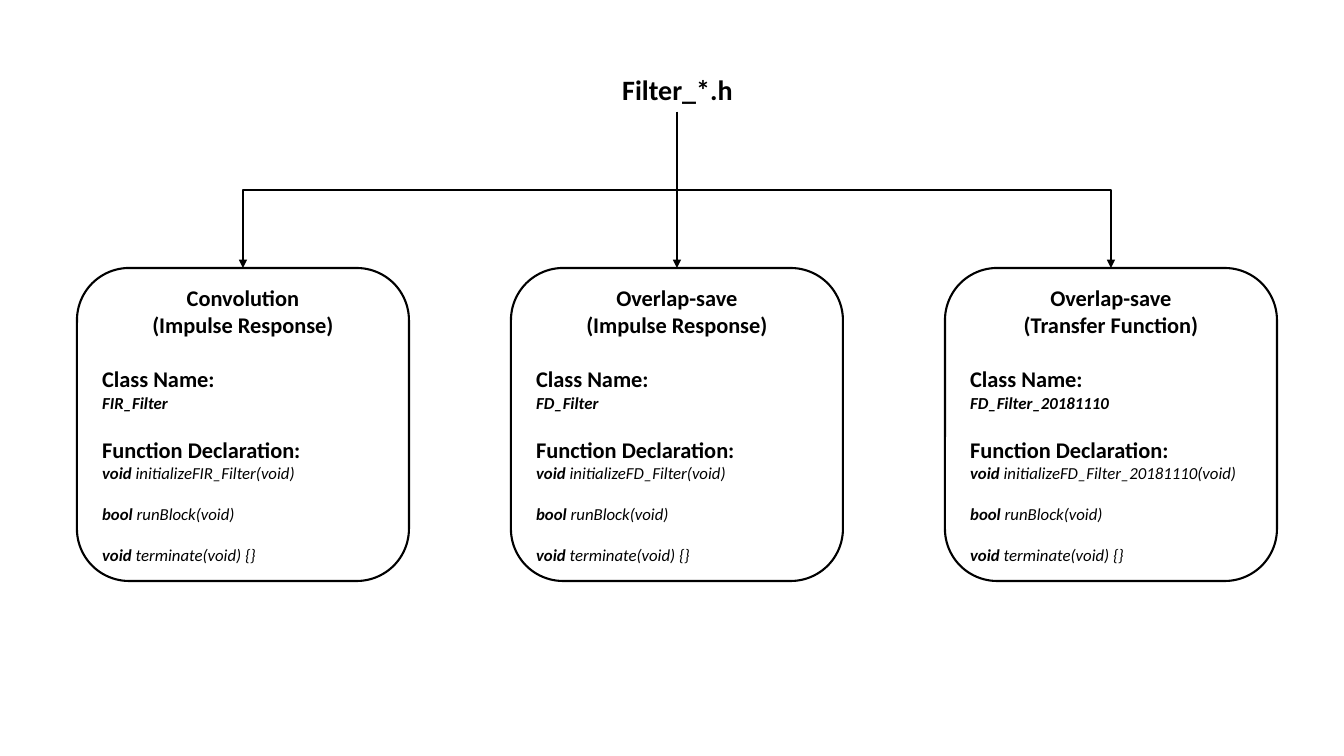
from lxml.etree import SubElement
from pptx import Presentation
from pptx.dml.color import RGBColor
from pptx.enum.shapes import MSO_CONNECTOR, MSO_SHAPE
from pptx.enum.text import MSO_ANCHOR, PP_ALIGN
from pptx.oxml.ns import qn
from pptx.util import Pt

SCALE = 914400 / 100.8
COLORS = {"ink": "000000", "paper": "FFFFFF"}
INK = RGBColor.from_string(COLORS["ink"])
PAPER = RGBColor.from_string(COLORS["paper"])


def px(*values):
    return [round(value * SCALE) for value in values]


def add_run(paragraph, text, size, bold=True, italic=False):
    run = paragraph.add_run()
    run.text = text
    run.font.name = "Calibri"
    run.font.size = Pt(size)
    run.font.bold = bold
    run.font.italic = italic
    run.font.color.rgb = INK


presentation = Presentation()
presentation.slide_width, presentation.slide_height = px(1344, 756)
slide = presentation.slides.add_slide(presentation.slide_layouts[6])

BOX_TOP, BOX_WIDTH, BOX_HEIGHT = 268, 332, 313
CENTER, STEP = 677, 434
HEADER_BOTTOM = 112
DROP = BOX_TOP - HEADER_BOTTOM
MIDDLE = HEADER_BOTTOM + DROP // 2

header = slide.shapes.add_textbox(*px(597, 68, 161, 44))
header.text_frame.word_wrap = True
header_paragraph = header.text_frame.paragraphs[0]
header_paragraph.alignment = PP_ALIGN.CENTER
add_run(header_paragraph, "Filter_*.h", 20)

filters = [
    ("Convolution", "(Impulse Response)", "FIR_Filter"),
    ("Overlap-save", "(Impulse Response)", "FD_Filter"),
    ("Overlap-save", "(Transfer Function)", "FD_Filter_20181110"),
]
for index, (method, domain, class_name) in enumerate(filters):
    center = CENTER + (index - 1) * STEP
    box = slide.shapes.add_shape(
        MSO_SHAPE.ROUNDED_RECTANGLE,
        *px(center - BOX_WIDTH // 2, BOX_TOP, BOX_WIDTH, BOX_HEIGHT))
    box.shadow.inherit = False
    box.fill.solid()
    box.fill.fore_color.rgb = PAPER
    box.line.color.rgb = INK
    box.line.width = Pt(1.5)
    frame = box.text_frame
    frame.word_wrap = True
    frame.vertical_anchor = MSO_ANCHOR.MIDDLE

    lines = [
        (PP_ALIGN.CENTER, 0, [(method, 16)]),
        (PP_ALIGN.CENTER, 0, [(domain, 16)]),
        (PP_ALIGN.LEFT, 19.5, [("Class Name:", 16)]),
        (PP_ALIGN.LEFT, 0, [(class_name, 12, True, True)]),
        (PP_ALIGN.LEFT, 17, [("Function Declaration:", 16)]),
    ]
    functions = [("void", f"initialize{class_name}(void)", 0),
                 ("bool", "runBlock(void)", 14.6),
                 ("void", "terminate(void) {}", 14.6)]
    for return_type, signature, gap in functions:
        lines.append((PP_ALIGN.LEFT, gap, [(f"{return_type} ", 12, True, True),
                                           (signature, 12, False, True)]))
    for number, (alignment, gap, runs) in enumerate(lines):
        paragraph = frame.add_paragraph() if number else frame.paragraphs[0]
        paragraph.alignment = alignment
        paragraph.space_before = Pt(gap)
        for run in runs:
            add_run(paragraph, *run)

arrows = [
    (MSO_CONNECTOR.ELBOW, CENTER - STEP // 2, -1, 90),
    (MSO_CONNECTOR.ELBOW, CENTER + STEP // 2, 1, 270),
    (MSO_CONNECTOR.STRAIGHT, CENTER, 0, 0),
]
for kind, center, side, rotation in arrows:
    if side:
        ends = (center + side * DROP // 2, MIDDLE - STEP // 2,
                center - side * DROP // 2, MIDDLE + STEP // 2)
    else:
        ends = (center, HEADER_BOTTOM, center, BOX_TOP)
    arrow = slide.shapes.add_connector(kind, *px(*ends))
    arrow.line.color.rgb = INK
    arrow.line.width = Pt(1.5)
    properties = arrow.element.spPr
    if rotation:
        properties.find(qn("a:xfrm")).set("rot", str(rotation * 60000))
    SubElement(properties.find(qn("a:ln")), qn("a:tailEnd"), type="triangle")
    SubElement(properties, qn("a:effectLst"))

presentation.save("out.pptx")
